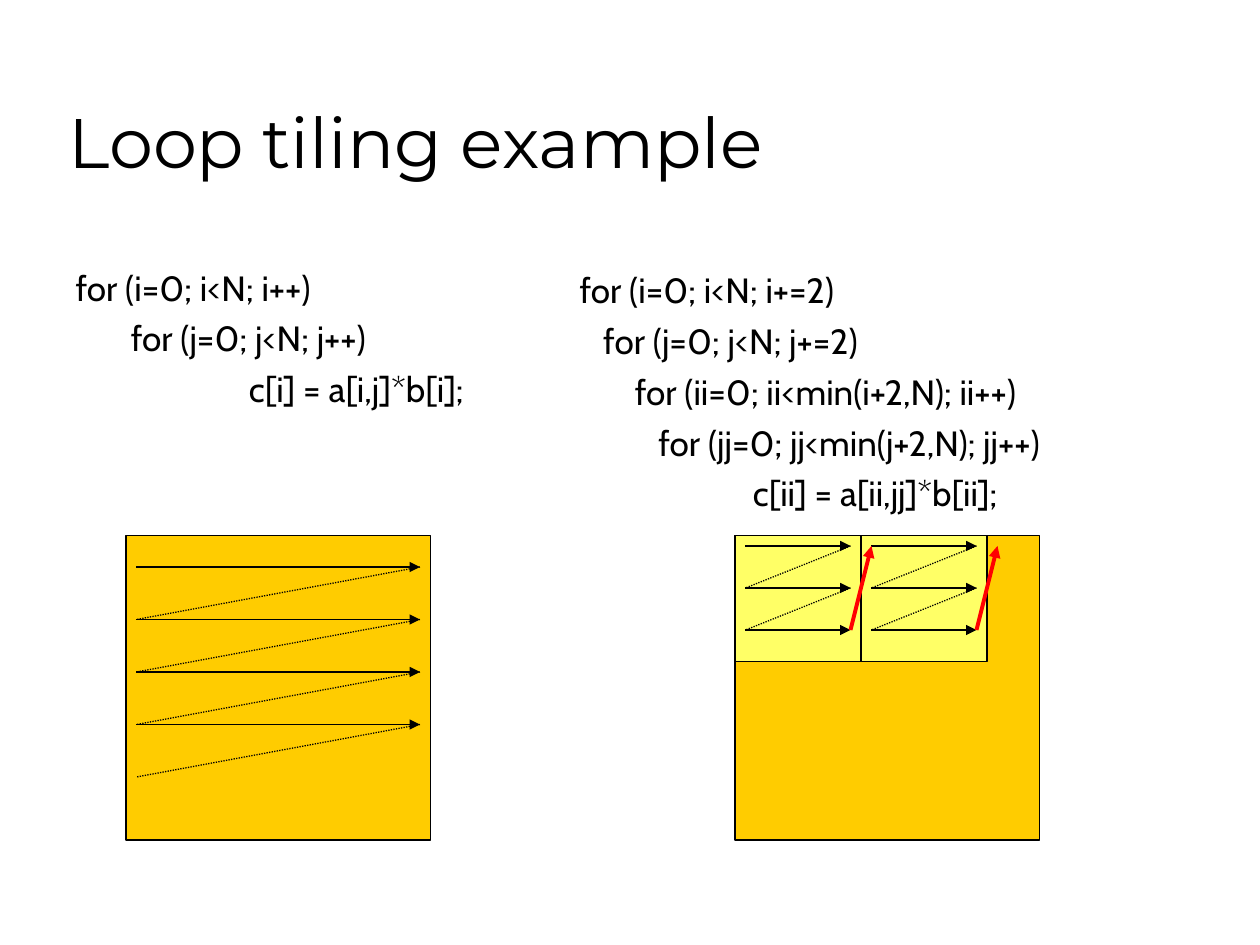
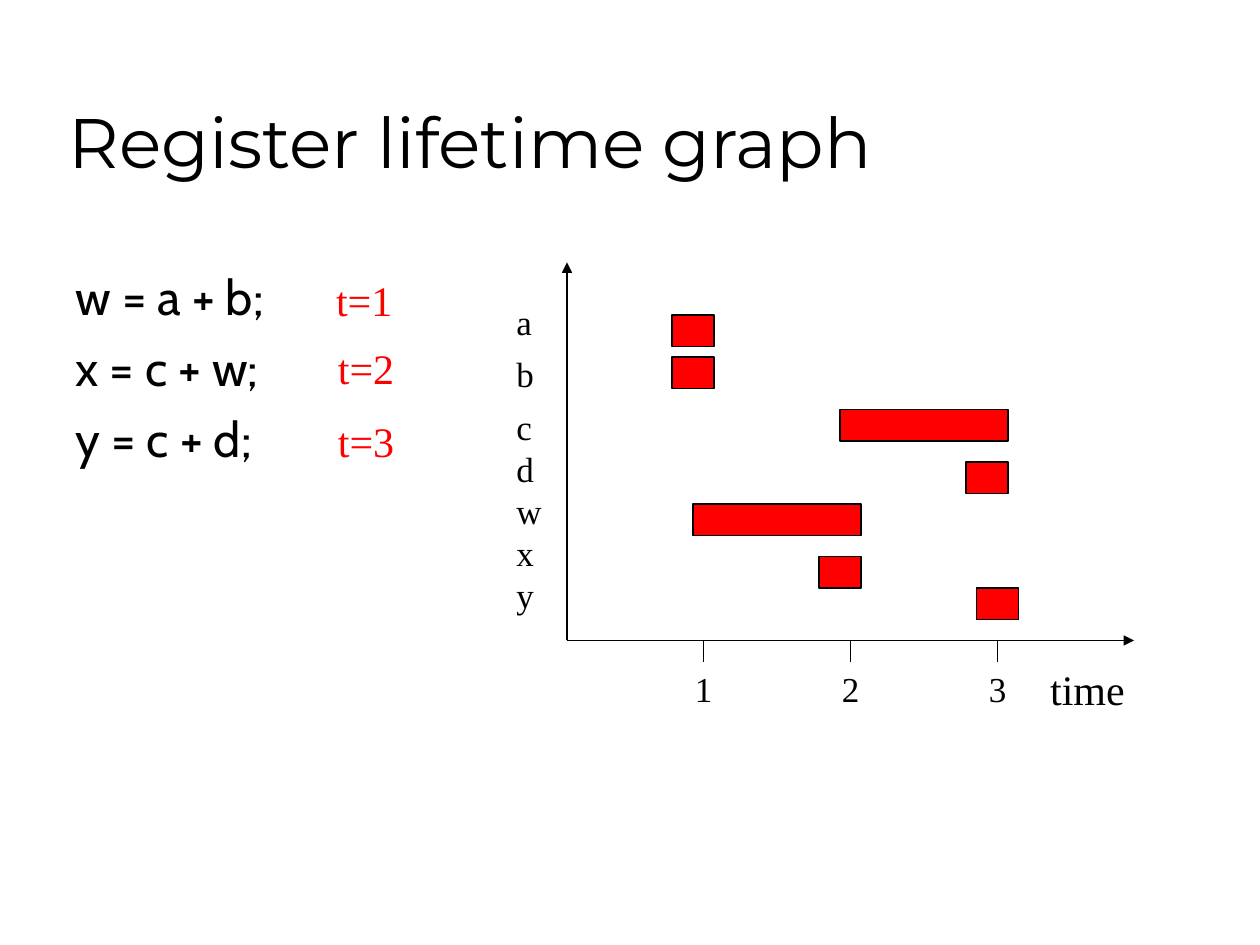
from dataclasses import dataclass
from typing import Any, NamedTuple, Optional

from lxml import etree
from pptx import Presentation
from pptx.dml.color import RGBColor
from pptx.enum import dml, shapes, text
from pptx.oxml.ns import qn
from pptx.util import Pt


# Theme: every colour, font and type size
@dataclass(frozen=True)
class Theme:
    ink: RGBColor = RGBColor(0x00, 0x00, 0x00)
    red: RGBColor = RGBColor(0xFF, 0x00, 0x00)
    array: RGBColor = RGBColor(0xFF, 0xCC, 0x00)
    tile: RGBColor = RGBColor(0xFF, 0xFF, 0x66)
    title_font: str = "Montserrat"
    code_font: str = "Cabin"
    label_font: str = "Times New Roman"
    title_size: float = 40
    code_size: float = 28
    small_code_size: float = 20
    note_size: float = 24
    label_size: float = 20
    thin: float = 0.75
    thick: float = 2.25


THEME = Theme()


class Area(NamedTuple):
    left: float
    top: float
    width: float
    height: float


class Point(NamedTuple):
    x: float
    y: float


class CodeLine(NamedTuple):
    words: str
    indent: float = 0


class Lifetime(NamedTuple):
    register: str
    label_top: float
    bar_left: float
    bar_top: float
    bar_width: float


TITLE_AREA = Area(32, 18, 612, 90)


# Formatting helpers
def apply(target: Any, values: dict[str, Any]) -> None:
    for name, value in values.items():
        setattr(target, name, value)


def place(shape: Any, area: Area) -> None:
    apply(shape, {side: Pt(length) for side, length in area._asdict().items()})


def style_span(span: Any, font: str, size: float, color: RGBColor) -> None:
    apply(span.font, {"name": font, "size": Pt(size)})
    span.font.color.rgb = color


def set_code_layout(para: Any, indent: float) -> None:
    """Plain left indent without a bullet."""
    props = para._p.get_or_add_pPr()
    props.set("marL", str(Pt(indent)))
    props.set("indent", "0")
    etree.SubElement(props, qn("a:buNone"))


# Drawing functions
def add_page(deck: Any, layout: int, title: str) -> Any:
    page = deck.slides.add_slide(deck.slide_layouts[layout])
    box = page.shapes.title
    place(box, TITLE_AREA)
    apply(box.text_frame, {
        "vertical_anchor": text.MSO_ANCHOR.BOTTOM,
        "auto_size": text.MSO_AUTO_SIZE.NONE,
    })
    para = box.text_frame.paragraphs[0]
    para.alignment = text.PP_ALIGN.LEFT
    span = para.add_run()
    span.text = title
    style_span(span, THEME.title_font, THEME.title_size, THEME.ink)
    return page


def fill_code(box: Any, area: Area, lines: list[CodeLine], size: float,
              gap: float) -> None:
    place(box, area)
    frame = box.text_frame
    frame.auto_size = text.MSO_AUTO_SIZE.NONE
    for row, line in enumerate(lines):
        para = frame.add_paragraph() if row else frame.paragraphs[0]
        set_code_layout(para, line.indent)
        para.space_before = Pt(gap if row else 0)
        span = para.add_run()
        span.text = line.words
        style_span(span, THEME.code_font, size, THEME.ink)


def add_label(page: Any, area: Area, words: str, size: float,
              color: RGBColor = THEME.ink) -> None:
    box = page.shapes.add_textbox(*map(Pt, area))
    apply(box.text_frame, {
        "word_wrap": True,
        "auto_size": text.MSO_AUTO_SIZE.NONE,
    })
    span = box.text_frame.paragraphs[0].add_run()
    span.text = words
    style_span(span, THEME.label_font, size, color)


def add_block(page: Any, area: Area, color: RGBColor) -> None:
    block = page.shapes.add_shape(shapes.MSO_SHAPE.RECTANGLE, *map(Pt, area))
    block.shadow.inherit = False
    block.fill.solid()
    block.fill.fore_color.rgb = color
    block.line.color.rgb = THEME.ink
    block.line.width = Pt(THEME.thin)


def add_line(page: Any, start: Point, end: Point, arrow: bool = False,
             dash: Optional[Any] = None, color: RGBColor = THEME.ink,
             width: float = THEME.thin) -> None:
    line = page.shapes.add_connector(
        shapes.MSO_CONNECTOR.STRAIGHT, *map(Pt, (*start, *end)))
    line.line.color.rgb = color
    apply(line.line, {"width": Pt(width), "dash_style": dash})
    if arrow:
        etree.SubElement(line.line._get_or_add_ln(), qn("a:tailEnd"), type="triangle")
    etree.SubElement(line._element.spPr, qn("a:effectLst"))


def add_sweep(page: Any, first: Point, length: float, pitch: float,
              rows: int, returns: int) -> None:
    """Solid arrows along the rows, dotted lines back to the next row."""
    right = first.x + length
    for row in range(rows):
        y = first.y + row * pitch
        add_line(page, Point(first.x, y), Point(right, y), arrow=True)
        if row < returns:
            add_line(page, Point(right, y), Point(first.x, y + pitch),
                     dash=dml.MSO_LINE.ROUND_DOT)


# Slide 1: plain and tiled traversal of an array
PLAIN_LOOP = [
    CodeLine("for (i=0; i<N; i++)"),
    CodeLine(" for (j=0; j<N; j++)", 27),
    CodeLine("c[i] = a[i,j]*b[i];", 99),
]
TILED_LOOP = [
    CodeLine("for (i=0; i<N; i+=2)"),
    CodeLine("   for (j=0; j<N; j+=2)"),
    CodeLine("       for (ii=0; ii<min(i+2,N); ii++)"),
    CodeLine("          for (jj=0; jj<min(j+2,N); jj++)"),
    CodeLine("c[ii] = a[ii,jj]*b[ii];", 99),
]
ARRAY_SIDE, TILE_SIDE = 174, 72
ARRAY_TOP, PLAIN_LEFT, TILED_LEFT = 306, 72, 420
MARGIN = 6


def build_tiling(deck: Any) -> None:
    page = add_page(deck, 3, "Loop tiling example")
    fill_code(page.placeholders[1], Area(36, 148.5, 316, 97),
              PLAIN_LOOP, THEME.small_code_size, 5)
    fill_code(page.placeholders[2], Area(324, 150, 374, 151),
              TILED_LOOP, THEME.small_code_size, 5)

    for left in (PLAIN_LEFT, TILED_LEFT):
        add_block(page, Area(left, ARRAY_TOP, ARRAY_SIDE, ARRAY_SIDE), THEME.array)
    add_sweep(page, Point(PLAIN_LEFT + MARGIN, ARRAY_TOP + 18),
              ARRAY_SIDE - 2 * MARGIN, pitch=30, rows=4, returns=4)

    tile_lefts = [TILED_LEFT + tile * TILE_SIDE for tile in range(2)]
    top, pitch = ARRAY_TOP + MARGIN, 24
    for left in tile_lefts:
        add_block(page, Area(left, ARRAY_TOP, TILE_SIDE, TILE_SIDE), THEME.tile)
        add_sweep(page, Point(left + MARGIN, top), TILE_SIDE - 2 * MARGIN,
                  pitch, rows=3, returns=2)

    # Jumps to the next tile
    for left in tile_lefts:
        edge = left + TILE_SIDE
        add_line(page, Point(edge - MARGIN, top + 2 * pitch), Point(edge + MARGIN, top),
                 arrow=True, color=THEME.red, width=THEME.thick)


# Slide 2: lifetimes of registers over time
STATEMENTS = [CodeLine("w = a + b;"), CodeLine("x = c + w;"), CodeLine("y = c + d;")]
LIFETIMES = [
    Lifetime("a", 168, 384, 180, 24),
    Lifetime("b", 198, 384, 204, 24),
    Lifetime("c", 228, 480, 234, 96),
    Lifetime("d", 252, 552, 264, 24),
    Lifetime("w", 276, 396, 288, 96),
    Lifetime("x", 300, 468, 318, 24),
    Lifetime("y", 324, 558, 336, 24),
]
STEP_NOTES = [Point(185, 153.5), Point(186, 192), Point(186, 234)]
ORIGIN = Point(324, 366)
FIRST_TICK, TICK_PITCH, TICK_LENGTH = 402, 84, 12
LABEL_WIDTH, LABEL_HEIGHT = 30, 31.5
NOTE_WIDTH, NOTE_HEIGHT = 52, 36
BAR_HEIGHT = 18


def build_lifetimes(deck: Any) -> None:
    page = add_page(deck, 1, "Register lifetime graph")
    fill_code(page.placeholders[1], Area(36, 148.5, 316, 328.5),
              STATEMENTS, THEME.code_size, 7)

    # Axes and time steps
    for tip in (Point(648, ORIGIN.y), Point(ORIGIN.x, 150)):
        add_line(page, ORIGIN, tip, arrow=True)
    add_label(page, Area(593, 375.5, 62, NOTE_HEIGHT), "time", THEME.note_size)
    for step, note in enumerate(STEP_NOTES):
        x, foot = FIRST_TICK + step * TICK_PITCH, ORIGIN.y + TICK_LENGTH
        add_line(page, Point(x, ORIGIN.y), Point(x, foot))
        add_label(page, Area(x - 12, foot, LABEL_WIDTH, LABEL_HEIGHT),
                  str(step + 1), THEME.label_size)
        add_label(page, Area(note.x, note.y, NOTE_WIDTH, NOTE_HEIGHT),
                  f"t={step + 1}", THEME.note_size, THEME.red)

    # Registers and their bars
    for life in LIFETIMES:
        add_label(page, Area(288, life.label_top, LABEL_WIDTH, LABEL_HEIGHT),
                  life.register, THEME.label_size)
        add_block(page, Area(life.bar_left, life.bar_top, life.bar_width, BAR_HEIGHT),
                  THEME.red)


def main() -> None:
    deck = Presentation()
    apply(deck, {"slide_width": Pt(720), "slide_height": Pt(540)})
    build_tiling(deck)
    build_lifetimes(deck)
    deck.save("out.pptx")


if __name__ == "__main__":
    main()
